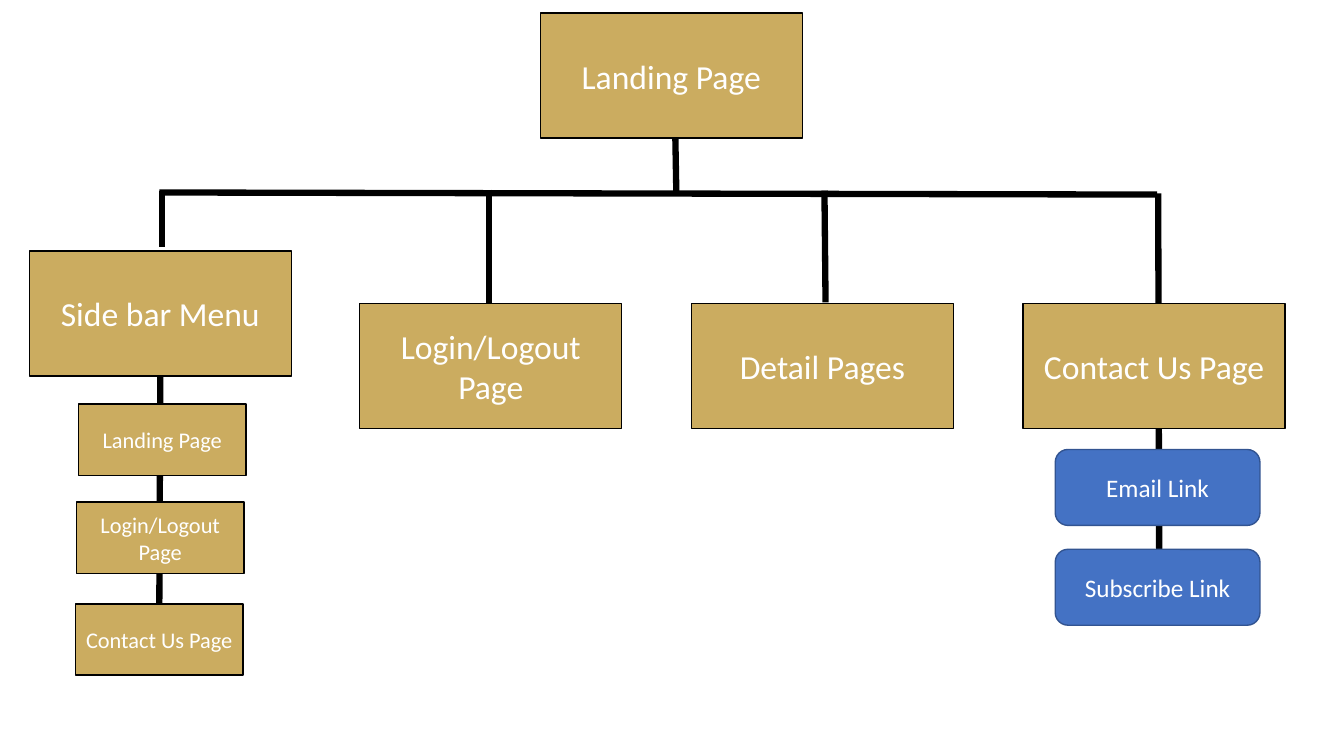
import pptx
import pptx.util
import pptx.dml.color
import pptx.enum.shapes
import pptx.enum.text

Pt = pptx.util.Pt
SHAPE = pptx.enum.shapes.MSO_SHAPE
GOLD, BLUE, NAVY, BLACK, WHITE = "CBAC60", "4472C4", "325491", "000000", "FFFFFF"
PAGE_W, PAGE_H = 187.2, 89.3
PAGE = (SHAPE.RECTANGLE, GOLD, BLACK, 24)
MENU_ITEM = (SHAPE.RECTANGLE, GOLD, BLACK, 16)
LINK = (SHAPE.ROUNDED_RECTANGLE, BLUE, NAVY, 18)


def color(value):
    return pptx.dml.color.RGBColor.from_string(value)


def add_line(s, x1, y1, x2, y2):
    line = s.shapes.add_connector(
        pptx.enum.shapes.MSO_CONNECTOR.STRAIGHT, Pt(x1), Pt(y1), Pt(x2), Pt(y2))
    line.line.color.rgb = color(BLACK)
    line.line.width = Pt(4.5)
    sp_pr = line._element.spPr
    sp_pr.append(sp_pr.makeelement(pptx.oxml.ns.qn("a:effectLst"), {}))


def add_node(s, box, text, style):
    kind, fill, outline, size = style
    sp = s.shapes.add_shape(kind, *(Pt(v) for v in box))
    sp.shadow.inherit = False
    sp.fill.solid()
    sp.fill.fore_color.rgb = color(fill)
    sp.line.color.rgb = color(outline)
    sp.line.width = Pt(1)
    tf = sp.text_frame
    tf.word_wrap = True
    tf.vertical_anchor = pptx.enum.text.MSO_ANCHOR.MIDDLE
    tf.text = text
    p = tf.paragraphs[0]
    p.alignment = pptx.enum.text.PP_ALIGN.CENTER
    font = p.runs[0].font
    font.name = "Calibri"
    font.size = Pt(size)
    font.color.rgb = color(WHITE)


def add_root(s, box, title):
    x, y, w, h = box
    add_node(s, box, title, PAGE)
    add_line(s, x + 96.5, y + h, x + 97.2, y + 127.4)
    add_line(s, x - 272.1, y + 128.1, x + 440.7, y + 129.6)


def add_branch(s, box, title, lines, children=(), child_size=(0, 0), child_style=None):
    x, y, w, h = box
    for x1, y1, x2, y2 in lines:
        add_line(s, x + x1, y + y1, x + x2, y + y2)
    add_node(s, box, title, PAGE)
    for text, dx, dy in children:
        add_node(s, (x + dx, y + dy, *child_size), text, child_style)


prs = pptx.Presentation()
prs.slide_width, prs.slide_height = Pt(960), Pt(540)
s = prs.slides.add_slide(prs.slide_layouts[6])

add_root(s, (385.9, 9.4, PAGE_W, PAGE_H), "Landing Page")
add_branch(
    s, (20.9, 179.3, PAGE_W, PAGE_H), "Side bar Menu",
    [(95, -43.2, 95, -2.9), (93.6, 90, 92.9, 257)],
    [("Landing Page", 35.1, 109.4),
     ("Login/Logout Page", 33.7, 179.3),
     ("Contact Us Page", 33, 252)],
    (119.8, 51), MENU_ITEM)
add_branch(s, (257, 216.7, PAGE_W, PAGE_H), "Login/Logout Page",
           [(92.2, -81.3, 92.2, 0.7)])
add_branch(s, (493.9, 216.7, PAGE_W, PAGE_H), "Detail Pages",
           [(95, -80.6, 95.8, -0.7)])
add_branch(
    s, (730.8, 216.7, PAGE_W, PAGE_H), "Contact Us Page",
    [(96.5, -78.5, 97.2, 183.6)],
    [("Email Link", 23, 104.4), ("Subscribe Link", 23, 175.7)],
    (146.2, 54.2), LINK)

prs.save("out.pptx")
